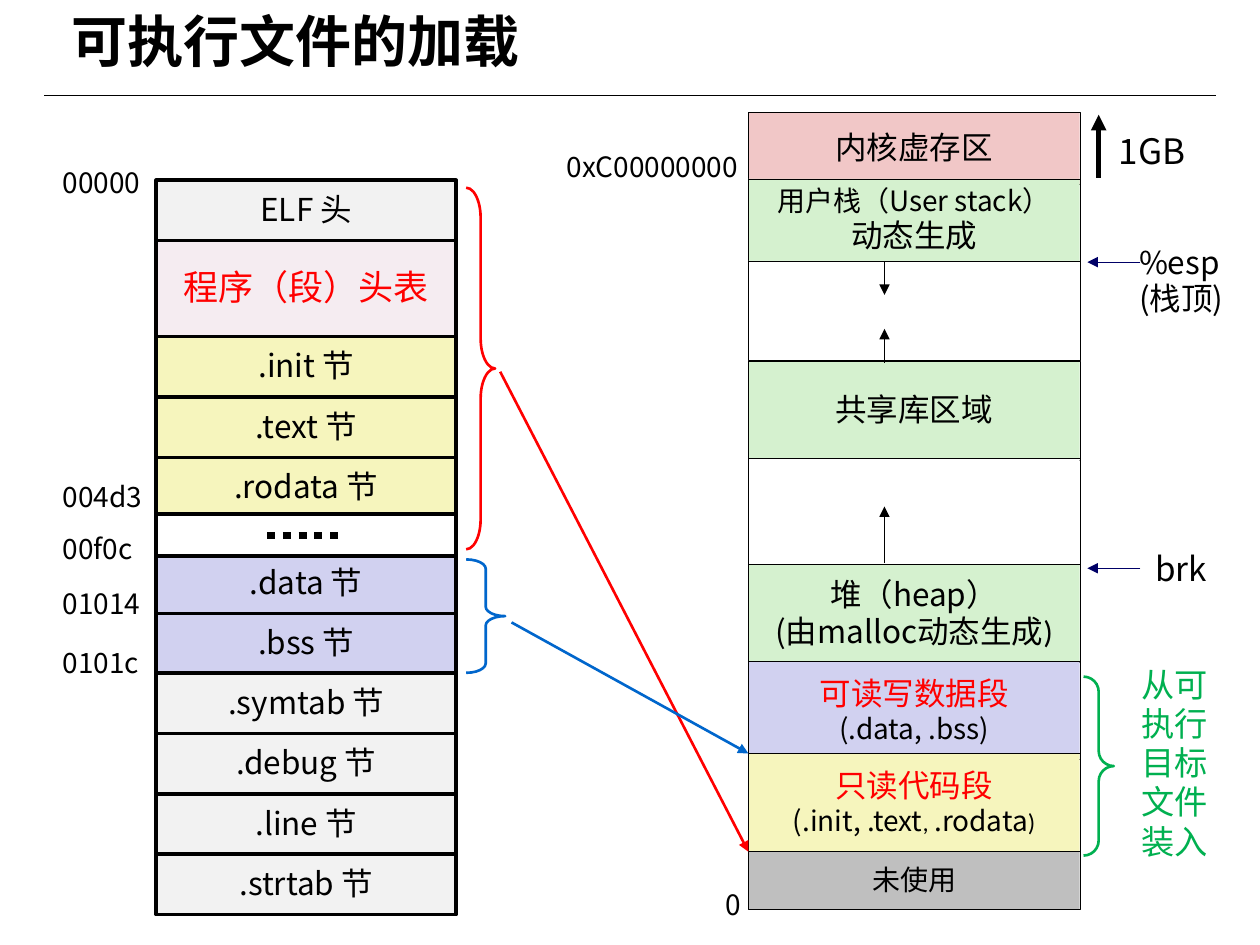
from lxml.etree import SubElement
from pptx import Presentation
from pptx.dml.color import RGBColor
from pptx.enum.dml import MSO_LINE
from pptx.enum.shapes import MSO_CONNECTOR, MSO_SHAPE
from pptx.enum.text import MSO_ANCHOR, PP_ALIGN
from pptx.oxml.ns import qn
from pptx.util import Inches, Pt

COLORS = {
    "black": "000000", "white": "FFFFFF", "red": "FF0000", "blue": "0066CC",
    "navy": "000066", "green": "00B050", "light": "F2F2F2", "plum": "993366",
    "yellow": "F6F5BD", "lilac": "D1D1F0", "pink": "F1C7C7", "mint": "D5F1CF",
    "gray": "BFBFBF",
}
NOTO = "Noto Sans CJK SC"
CALIBRI = "Calibri"


def color(name):
    return RGBColor.from_string(COLORS[name])


def run(text, size=18, tint="black", font=NOTO):
    return text, size, tint, font


def write(frame, lines, align=PP_ALIGN.LEFT, spacing=0.98, bold=None):
    for index, pieces in enumerate(lines):
        para = frame.paragraphs[0] if index == 0 else frame.add_paragraph()
        para.alignment = align
        para.line_spacing = spacing
        for text, size, tint, font in pieces:
            span = para.add_run()
            span.text = text
            span.font.size = Pt(size)
            span.font.bold = bold
            span.font.name = font
            span.font.color.rgb = color(tint)
            SubElement(span.font._element, qn("a:ea"), typeface=font)


def add_label(page, left, top, width, height, lines, wrap=True, inset=0.1, **style):
    box = page.shapes.add_textbox(Inches(left), Inches(top), Inches(width), Inches(height))
    frame = box.text_frame
    frame.word_wrap = wrap
    frame.margin_left = frame.margin_right = Inches(inset)
    write(frame, lines, **style)


def add_cell(page, left, top, width, height, fill, weight, lines=()):
    box = page.shapes.add_shape(
        MSO_SHAPE.RECTANGLE, Inches(left), Inches(top), Inches(width), Inches(height))
    box.shadow.inherit = False
    box.fill.solid()
    box.fill.fore_color.rgb = color(fill)
    box.line.color.rgb = color("black")
    box.line.width = Pt(weight)
    box.text_frame.word_wrap = False
    box.text_frame.vertical_anchor = MSO_ANCHOR.MIDDLE
    write(box.text_frame, lines, PP_ALIGN.CENTER)
    return box


def add_line(page, start, end, tint, weight, arrow=True):
    line = page.shapes.add_connector(
        MSO_CONNECTOR.STRAIGHT, *(Inches(value) for value in start + end))
    line.line.color.rgb = color(tint)
    line.line.width = Pt(weight)
    if arrow:
        SubElement(line.line._get_or_add_ln(), qn("a:tailEnd"), type="triangle")
    SubElement(line._element.spPr, qn("a:effectLst"))
    return line


def add_brace(page, left, top, width, height, tint, curve):
    brace = page.shapes.add_shape(
        MSO_SHAPE.RIGHT_BRACE, Inches(left), Inches(top), Inches(width), Inches(height))
    brace.shadow.inherit = False
    brace.fill.background()
    brace.line.color.rgb = color(tint)
    brace.line.width = Pt(1.5)
    brace.adjustments[0] = curve


def add_header(page, left, top, width):
    add_line(page, (left, top + 0.76), (left + width, top + 0.76), "black", 0.75, arrow=False)
    add_label(page, left + 0.12, top, width - 0.2, 0.71,
              [[run("可执行文件的加载", 32, font="Arial")]], spacing=1.0, bold=True)


def add_file_sections(page, left, top, width):
    sections = [
        ("ELF 头", "light", 0.48), ("程序（段）头表", "plum", 0.76),
        (".init 节", "yellow", 0.48), (".text 节", "yellow", 0.48),
        (".rodata 节", "yellow", 0.48), (None, "white", 0.28),
        (".data 节", "lilac", 0.48), (".bss 节", "lilac", 0.47),
        (".symtab 节", "light", 0.48), (".debug 节", "light", 0.48),
        (".line 节", "light", 0.48), (".strtab 节", "light", 0.48),
    ]
    row_top = top
    for name, fill, height in sections:
        if name is None:
            gap_top = row_top - 0.03
        else:
            is_header_table = fill == "plum"
            text = run(name, 20, "red") if is_header_table else run(name)
            cell = add_cell(page, left, row_top, width, height, fill, 2, [[text]])
            if is_header_table:
                tint = cell.fill._xPr.find(qn("a:solidFill"))[0]
                SubElement(tint, qn("a:alpha"), val="9000")
        row_top += height

    add_cell(page, left, gap_top, width, 0.33, "white", 2.25)
    dots = add_line(page, (left + 0.88, gap_top + 0.17), (left + 1.49, gap_top + 0.17),
                    "black", 4.5, arrow=False)
    dots.line.dash_style = MSO_LINE.ROUND_DOT
    offsets = [("00000", -0.15), ("004d3", 2.34), ("00f0c", 2.75),
               ("01014", 3.19), ("0101c", 3.66)]
    for address, offset in offsets:
        add_label(page, left - 0.84, top + offset, 1.02, 0.36, [[run(address, 16)]])


def add_memory_map(page, left, top, width):
    regions = [
        (0, 0.57, "pink", [[run("内核虚存区")]]),
        (0.53, 0.65, "mint", [[run("用户栈（User stack）", 16)],
                              [run("动态生成", font=CALIBRI)]]),
        (1.18, 0.79, "white", []),
        (1.98, 0.78, "mint", [[run("共享库区域")]]),
        (2.75, 0.84, "white", []),
        (3.59, 0.78, "mint", [[run("堆（heap）")],
                              [run("(由malloc动态生成"), run(")", font=CALIBRI)]]),
        (4.36, 0.78, "lilac", [[run("可读写数据段", tint="red")],
                               [run("(.data, .bss)", 16)]]),
        (5.09, 0.78, "yellow", [[run("只读代码段", tint="red")],
                                [run("(.init, .text", 16), run(", ", 14, font=CALIBRI),
                                 run(".rodata", 16), run(")", 14, font=CALIBRI)]]),
        (5.87, 0.46, "gray", [[run("未使用", 16)]]),
    ]
    for offset, height, fill, lines in regions:
        add_cell(page, left, top + offset, width, height, fill, 0.25, lines)

    growth = left + 1.08
    for start, end in [(1.19, 1.45), (1.99, 1.72), (3.58, 3.13)]:
        add_line(page, (growth, top + start), (growth, top + end), "black", 0.25)

    add_label(page, left - 1.54, top + 0.27, 1.6, 0.35,
              [[run("0xC00000000", 16)]], wrap=False, spacing=0.94)
    add_label(page, left - 0.28, top + 6.12, 0.32, 0.36, [[run("0", 16)]], wrap=False)


def add_memory_notes(page, left, top):
    add_line(page, (left + 0.15, top + 0.52), (left + 0.15, top + 0.02), "black", 3)
    add_label(page, left + 0.21, top + 0.09, 0.92, 0.44, [[run("1GB", 20)]], spacing=1.0)
    for offset in (1.19, 3.62):
        add_line(page, (left + 0.48, top + offset), (left + 0.06, top + offset), "navy", 0.25)
    add_label(page, left + 0.47, top + 1.01, 0.8, 0.68,
              [[run("%esp")], [run("(栈顶)")]], inset=0, spacing=0.96)
    add_label(page, left + 0.5, top + 3.44, 0.61, 0.4,
              [[run("brk", 19)]], wrap=False, spacing=0.94)
    add_brace(page, left + 0.03, top + 4.48, 0.24, 1.42, "green", 0.5)
    add_label(page, left + 0.39, top + 4.35, 0.82, 1.65,
              [[run("从可执行目标文件装入", 19, "green", CALIBRI)]])


def add_mapping(page, left, top, target):
    add_brace(page, left, top, 0.23, 2.87, "red", 1.04)
    add_line(page, (left + 0.27, top + 1.46), (target, top + 5.27), "red", 1.5)
    add_brace(page, left, top + 2.95, 0.31, 0.9, "blue", 0.24)
    add_line(page, (left + 0.36, top + 3.45), (target, top + 4.49), "blue", 1.5)


def main():
    deck = Presentation()
    deck.slide_width = Inches(10)
    deck.slide_height = Inches(7.5)
    page = deck.slides.add_slide(deck.slide_layouts[6])
    memory_left, memory_top, memory_width = 5.94, 0.89, 2.63
    add_header(page, 0.35, 0, 9.3)
    add_memory_map(page, memory_left, memory_top, memory_width)
    add_memory_notes(page, memory_left + memory_width, memory_top)
    add_file_sections(page, 1.24, 1.43, 2.38)
    add_mapping(page, 3.7, 1.49, memory_left)
    deck.save("out.pptx")


if __name__ == "__main__":
    main()
